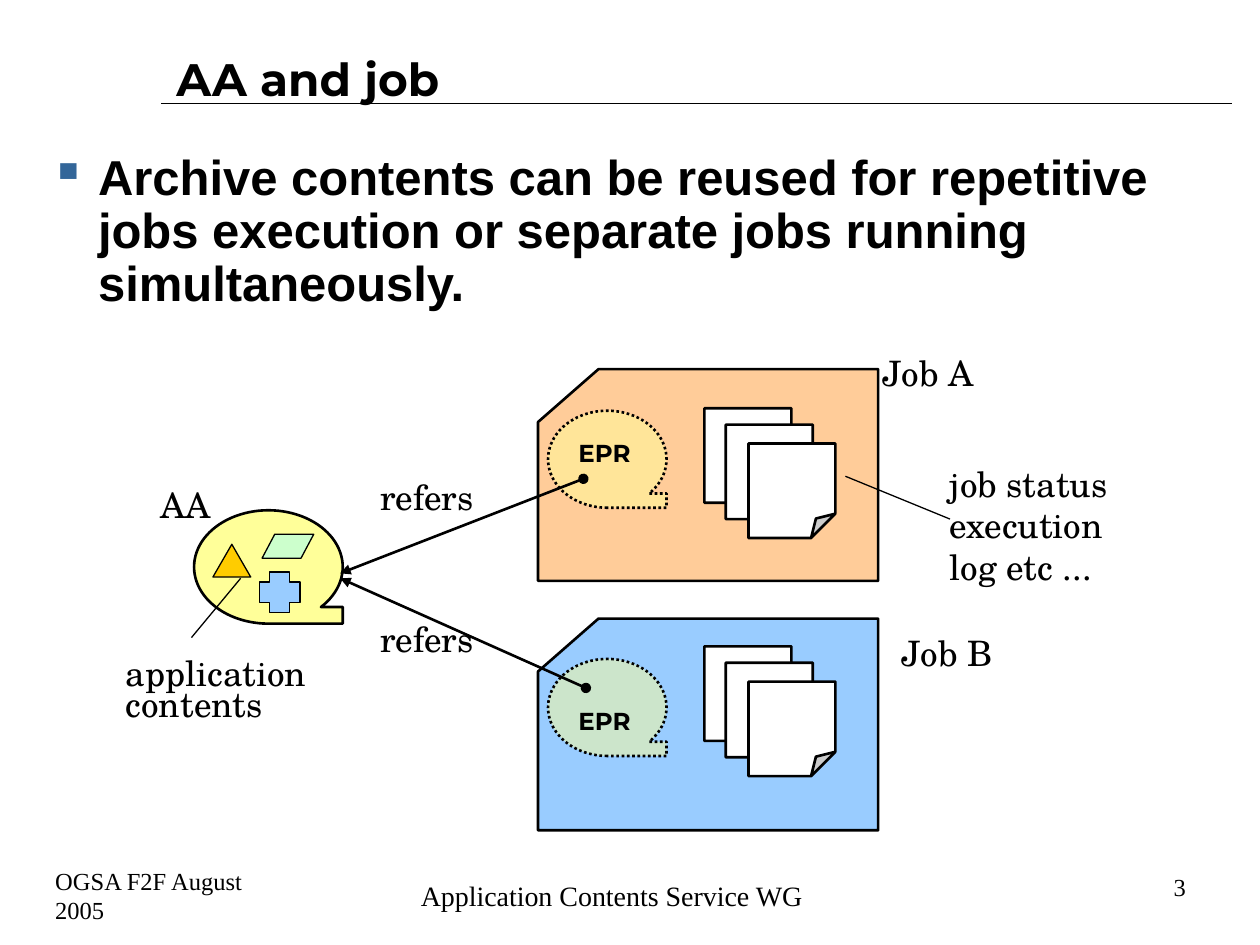
"""Build the slide that shows how two jobs refer to one application archive."""
from lxml import etree
from pptx import Presentation
from pptx.dml.color import RGBColor
from pptx.enum.dml import MSO_LINE
from pptx.enum.shapes import MSO_CONNECTOR, MSO_SHAPE
from pptx.enum.text import MSO_ANCHOR, MSO_AUTO_SIZE, PP_ALIGN
from pptx.oxml.ns import qn
from pptx.util import Inches, Pt

STRAIGHT = MSO_CONNECTOR.STRAIGHT
TAPE = MSO_SHAPE.FLOWCHART_SEQUENTIAL_ACCESS_STORAGE
TRIANGLE = MSO_SHAPE.ISOSCELES_TRIANGLE
PARALLELOGRAM = MSO_SHAPE.PARALLELOGRAM
CROSS = MSO_SHAPE.CROSS
PAGE = MSO_SHAPE.FOLDED_CORNER
DOTTED = MSO_LINE.ROUND_DOT
TOP, MIDDLE = MSO_ANCHOR.TOP, MSO_ANCHOR.MIDDLE
LEFT, CENTER, RIGHT = PP_ALIGN.LEFT, PP_ALIGN.CENTER, PP_ALIGN.RIGHT

BLACK = RGBColor(0, 0, 0)
WHITE = RGBColor(0xFF, 0xFF, 0xFF)
ORANGE = RGBColor(0xFF, 0xCC, 0x99)
BLUE = RGBColor(0x99, 0xCC, 0xFF)
YELLOW = RGBColor(0xFF, 0xFF, 0x99)
GOLD = RGBColor(0xFF, 0xCC, 0x00)
GREEN = RGBColor(0xCC, 0xFF, 0xCC)
BULLET = RGBColor(0x33, 0x66, 0x99)

HEADING, BODY = "Montserrat", "Arial"
LABEL, FOOTER = "TeX Gyre Schola", "Times New Roman"
THIN, THICK = 0.75, 1.5
TIGHT = 0.72

TITLE = "AA and job"
MESSAGE = ("Archive contents can be reused for repetitive jobs execution "
           "or separate jobs running simultaneously.")
JOBS = [
    {"top": 2.93, "fill": ORANGE, "epr_top": 3.26, "epr_text_top": 3.48,
     "pages_top": 3.24, "refers_from": (4.63, 3.8), "refers_to": (2.7, 4.55)},
    {"top": 4.91, "fill": BLUE, "epr_top": 5.23, "epr_text_top": 5.6,
     "pages_top": 5.13, "refers_from": (4.65, 5.46), "refers_to": (2.7, 4.59)},
]
JOB_OUTLINE = [(4.27, 1.68), (4.27, 0.42), (4.75, 0), (6.97, 0), (6.97, 1.68)]
PAGE_OFFSETS = [(0, 0), (0.17, 0.13), (0.35, 0.28)]
ARCHIVE = [
    (TAPE, (1.54, 4.05, 1.18, 0.9), YELLOW, THICK),
    (TRIANGLE, (1.69, 4.32, 0.3, 0.26), GOLD, THIN),
    (PARALLELOGRAM, (2.08, 4.24, 0.41, 0.19), GREEN, THIN, 0.53),
    (CROSS, (2.06, 4.54, 0.32, 0.32), BLUE, THIN),
]
LABELS = [
    ((6.66, 2.83, 1.41, 0.48), CENTER, [("Job A", TIGHT)]),
    ((6.81, 5.05, 1.41, 0.48), CENTER, [("Job B", TIGHT)]),
    ((1.03, 3.87, 0.89, 0.48), CENTER, [("AA", TIGHT)]),
    ((2.92, 3.81, 1, 0.48), LEFT, [("refers", TIGHT)]),
    ((2.92, 4.94, 1, 0.48), LEFT, [("refers", TIGHT)]),
    ((7.44, 3.71, 1.54, 1.05), LEFT,
     [("job status", TIGHT), ("execution log etc ...", 1.0)]),
    ((0.9, 5.21, 1.66, 0.8), LEFT,
     [("application", TIGHT), ("contents", TIGHT)]),
]
FOOTERS = [
    ("OGSA F2F August 2005", (0.34, 6.92, 1.76, 0.37), 14, LEFT),
    ("Application Contents Service WG", (3.04, 6.83, 3.63, 0.55), 16, CENTER),
    ("3", (8.56, 6.92, 0.95, 0.24), 14, RIGHT),
]
PLAIN_LINES = [
    ((1.28, 0.82), (9.78, 0.82)),
    ((7.54, 4.12), (6.71, 3.78)),
    ((1.52, 5.06), (1.91, 4.59)),
]


def style_paragraph(para, font, size, bold=False, align=LEFT, spacing=1.0):
    para.alignment = align
    para.line_spacing = spacing
    para.font.name = font
    para.font.size = Pt(size)
    para.font.bold = bold
    para.font.color.rgb = BLACK


def add_text(slide, place, lines, font, size, bold=False, align=LEFT,
             anchor=TOP, inset=True):
    box = slide.shapes.add_textbox(*map(Inches, place))
    frame = box.text_frame
    frame.word_wrap = True
    frame.vertical_anchor = anchor
    if not inset:
        frame.margin_left = frame.margin_right = 0
        frame.margin_top = frame.margin_bottom = 0
    for index, (text, spacing) in enumerate(lines):
        para = frame.add_paragraph() if index else frame.paragraphs[0]
        para.text = text
        style_paragraph(para, font, size, bold, align, spacing)
    return frame


def paint(shape, fill, width):
    shape.shadow.inherit = False
    shape.fill.solid()
    shape.fill.fore_color.rgb = fill
    shape.line.color.rgb = BLACK
    shape.line.width = Pt(width)


def add_figure(slide, kind, place, fill, width, adjustment=None):
    shape = slide.shapes.add_shape(kind, *map(Inches, place))
    paint(shape, fill, width)
    if adjustment is not None:
        guides = shape._element.spPr.find(".//" + qn("a:avLst"))
        etree.SubElement(guides, qn("a:gd"), name="adj",
                         fmla=f"val {round(adjustment * 100000)}")
    return shape


def add_line(slide, start, end, width=THIN, head=None, tail=None):
    line = slide.shapes.add_connector(STRAIGHT, *map(Inches, start + end))
    line.line.color.rgb = BLACK
    line.line.width = Pt(width)
    outline = line._element.spPr.find(qn("a:ln"))
    for tag, kind in (("a:headEnd", head), ("a:tailEnd", tail)):
        if kind:
            etree.SubElement(outline, qn(tag), type=kind)
    etree.SubElement(line._element.spPr, qn("a:effectLst"))


def add_title(slide):
    title = slide.shapes.title
    title.left, title.top, title.width, title.height = map(
        Inches, (1.3, 0.33, 8.49, 0.58))
    frame = title.text_frame
    frame.text = TITLE
    frame.auto_size = MSO_AUTO_SIZE.NONE
    frame.vertical_anchor = MIDDLE
    style_paragraph(frame.paragraphs[0], HEADING, 26, bold=True)


def add_message(slide):
    frame = add_text(slide, (0.3, 1.17, 9.48, 5.64), [(MESSAGE, 0.9)],
                     BODY, 28, bold=True)
    properties = frame.paragraphs[0]._p.get_or_add_pPr()
    properties.set("marL", str(Inches(0.38)))
    properties.set("indent", str(Inches(-0.38)))
    color = etree.Element(qn("a:buClr"))
    etree.SubElement(color, qn("a:srgbClr"), val=str(BULLET))
    mark = etree.Element(qn("a:buChar"), char="▪")
    default_run = properties.find(qn("a:defRPr"))
    default_run.addprevious(color)
    default_run.addprevious(mark)


def add_job(slide, job):
    corners = [(Inches(x), Inches(job["top"] + y)) for x, y in JOB_OUTLINE]
    builder = slide.shapes.build_freeform(*corners[0])
    builder.add_line_segments(corners[1:], close=True)
    paint(builder.convert_to_shape(), job["fill"], THICK)

    epr = add_figure(slide, TAPE, (4.35, job["epr_top"], 0.94, 0.77),
                     YELLOW, THICK)
    epr.line.dash_style = DOTTED
    color = epr._element.spPr.find(qn("a:solidFill"))[0]
    etree.SubElement(color, qn("a:alpha"), val="50000")
    for x, y in PAGE_OFFSETS:
        add_figure(slide, PAGE, (5.59 + x, job["pages_top"] + y, 0.69, 0.75),
                   WHITE, THICK, 0.28)
    add_text(slide, (4.59, job["epr_text_top"], 0.75, 0.39), [("EPR", 1.0)],
             HEADING, 14, bold=True, inset=False)


def main():
    deck = Presentation()
    deck.slide_width, deck.slide_height = Inches(10), Inches(7.5)
    slide = deck.slides.add_slide(deck.slide_layouts[5])
    add_title(slide)
    add_message(slide)
    for job in JOBS:
        add_job(slide, job)
    for figure in ARCHIVE:
        add_figure(slide, *figure)
    for job in JOBS:
        add_line(slide, job["refers_from"], job["refers_to"], THICK,
                 "oval", "triangle")
    for start, end in PLAIN_LINES:
        add_line(slide, start, end)
    for place, align, lines in LABELS:
        add_text(slide, place, lines, LABEL, 20, align=align)
    for text, place, size, align in FOOTERS:
        add_text(slide, place, [(text, 1.0)], FOOTER, size, align=align,
                 anchor=MIDDLE)
    deck.save("out.pptx")


if __name__ == "__main__":
    main()
